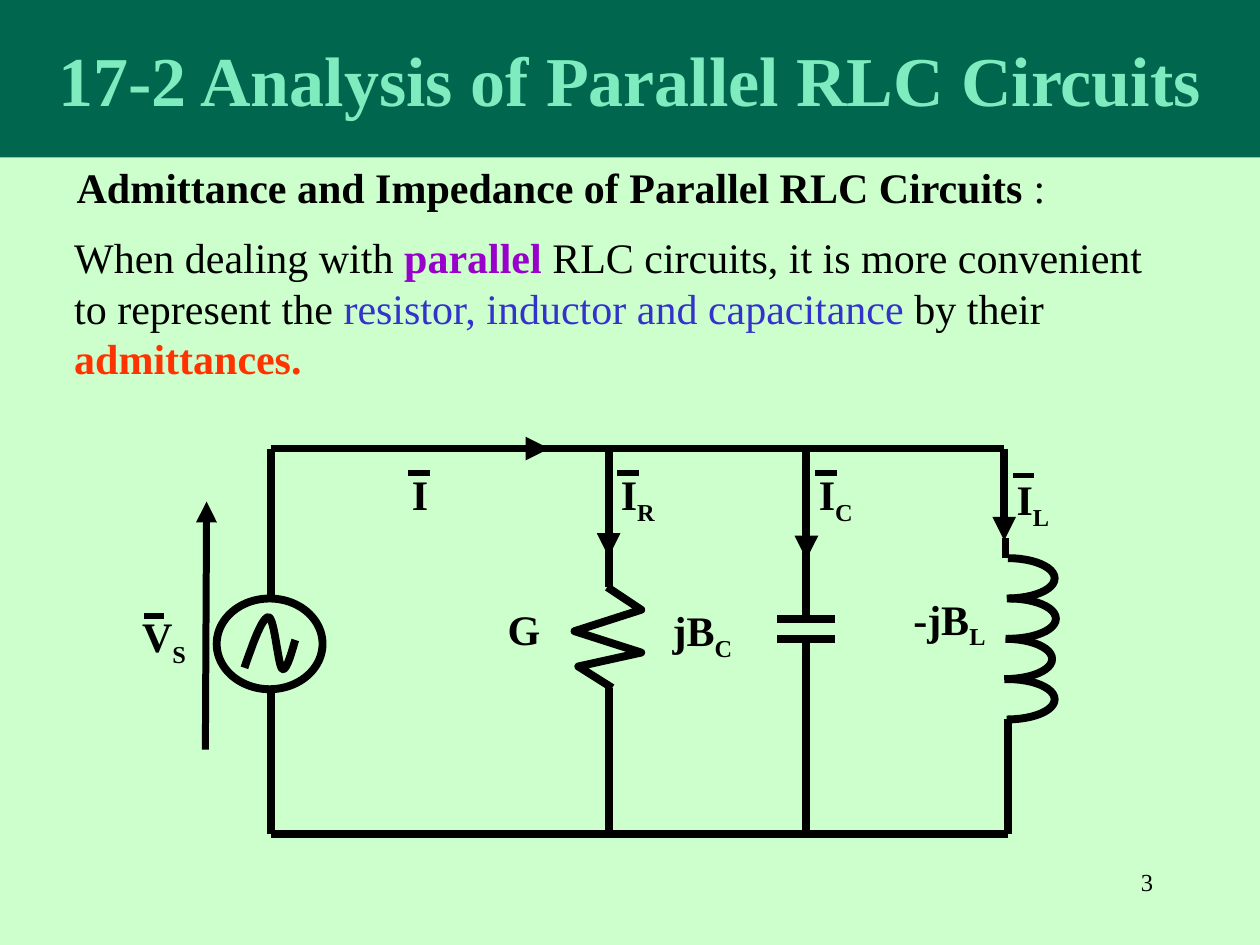
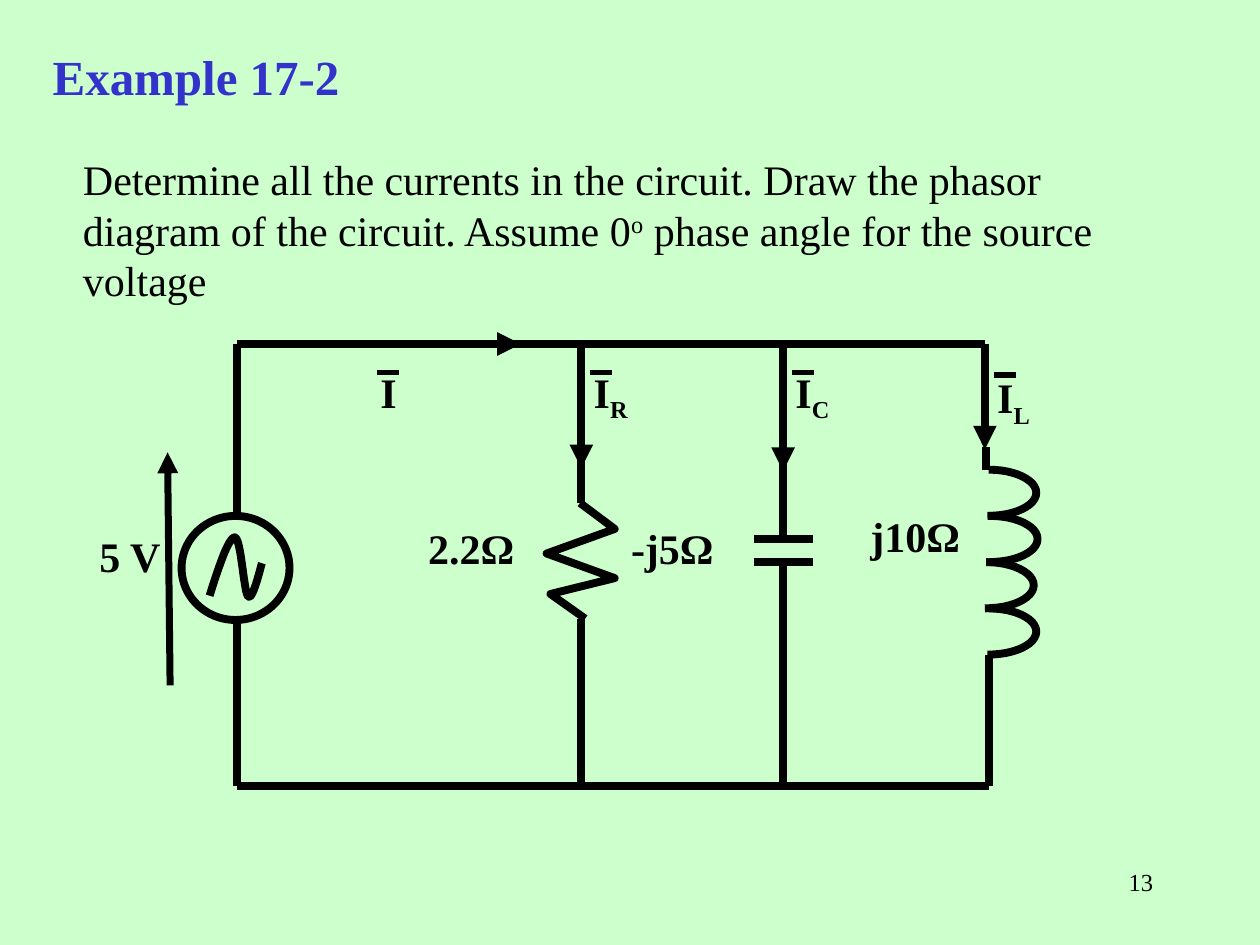
from lxml import etree
from pptx import Presentation
from pptx.dml.color import RGBColor
from pptx.enum.shapes import MSO_CONNECTOR, MSO_SHAPE
from pptx.enum.text import MSO_ANCHOR, PP_ALIGN
from pptx.oxml.ns import qn
from pptx.util import Inches, Pt

FONT = "Times New Roman"
BLACK = RGBColor(0x00, 0x00, 0x00)
MINT = RGBColor(0xCC, 0xFF, 0xCC)
GREEN = RGBColor(0x00, 0x66, 0x4D)
AQUA = RGBColor(0x7F, 0xEC, 0xBF)
BLUE = RGBColor(0x33, 0x33, 0xCC)
PURPLE = RGBColor(0x99, 0x00, 0xCC)
RED = RGBColor(0xFF, 0x33, 0x00)
WIRE, BAR, VOLTAGE = 4.5, 3, 4  # line widths in points

# Runs are (text, options); options: color, bold, base (percent raised or lowered)
TITLE = [("17-2 Analysis of Parallel RLC Circuits", {"color": AQUA, "bold": True})]
HEADING = [("Admittance and Impedance of Parallel RLC Circuits ", {"bold": True}), (":", {})]
INTRO = [
    ("When dealing with ", {}),
    ("parallel", {"color": PURPLE, "bold": True}),
    (" RLC circuits, it is more convenient to represent the ", {}),
    ("resistor, inductor and capacitance", {"color": BLUE}),
    (" by their ", {}),
    ("admittances.", {"color": RED, "bold": True}),
]
EXAMPLE = [("Example 17-2", {"color": BLUE, "bold": True})]
TASK = [
    ("Determine all the currents in the circuit. Draw the phasor diagram of the circuit. Assume 0", {}),
    ("o", {"base": 30}),
    (" phase angle for the source voltage", {}),
]

# Per slide: top left corner, scale, voltage arrow, and labels as (text, subscript, box)
ADMITTANCE_CIRCUIT = {
    "corner": (2.15, 3.56),
    "scale": (1, 1),
    "voltage": ((1.63, 5.95), (1.64, 3.98)),
    "labels": [
        ("V", "S", (1.03, 4.8, 0.57, 0.5)),
        ("G", "", (3.93, 4.74, 0.8, 0.5)),
        ("jB", "C", (5.24, 4.75, 0.85, 0.5)),
        ("-jB", "L", (7.15, 4.66, 0.85, 0.5)),
    ],
}
EXAMPLE_CIRCUIT = {
    "corner": (1.88, 2.73),
    "scale": (1.02, 1.147),
    "voltage": ((1.35, 5.44), (1.33, 3.59)),
    "labels": [
        ("5 V", "", (0.69, 4.16, 0.71, 0.5)),
        ("2.2Ω", "", (3.3, 4.1, 0.89, 0.5)),
        ("-j5Ω", "", (4.91, 4.1, 1.08, 0.5)),
        ("j10Ω", "", (6.81, 4, 1.27, 0.5)),
    ],
}

# Circuit geometry, measured from its top left corner
X_R, X_C, X_L = 2.68, 4.25, 5.85
BOTTOM = 3.06
WIRES = [
    ((0, 1.18), (0, 0)), ((0, 1.9), (0, BOTTOM)),
    ((1.73, 0), (5.82, 0)), ((0, BOTTOM), (X_L, BOTTOM)),
    ((X_R, 0.65), (X_R, 1.1)), ((X_R, 1.9), (X_R, BOTTOM)),
    ((X_C, 0), (X_C, 1.34)), ((X_C, 1.51), (X_C, BOTTOM)),
    ((X_C - 0.23, 1.35), (X_C + 0.23, 1.35)),
    ((X_C - 0.23, 1.51), (X_C + 0.23, 1.51)),
    ((5.83, 0.71), (5.83, 0.87)), ((X_L, 2.15), (X_L, BOTTOM)),
]
CURRENT_ARROWS = [
    ((0, 0), (2.21, 0)), ((X_R, 0), (X_R, 0.86)),
    ((X_C, 0), (X_C, 0.88)), ((5.82, 0), (5.82, 0.73)),
]
CURRENTS = [("", 1.02, 0.11), ("R", X_R, 0.11), ("C", X_C, 0.11), ("L", 5.82, 0.15)]
SOURCE = (-0.43, 1.19, 0.84, 0.72)
SINE = [(-0.19, 1.76), (-0.14, 1.55), (-0.09, 1.35), (-0.04, 1.34), (0.01, 1.34),
        (0.07, 1.71), (0.11, 1.74), (0.15, 1.76), (0.18, 1.54), (0.19, 1.5)]
RESISTOR = [(2.67, 1.1), (2.94, 1.28), (2.41, 1.45), (2.94, 1.62), (2.44, 1.73), (2.71, 1.9)]
TURN = [(0, 0), (0.2, 0), (0.37, 0.07), (0.37, 0.16), (0.37, 0.25), (0.2, 0.32), (-0.01, 0.32)]
TURN_SHIFTS = [0, 0.01, -0.02, 0]
COIL_TOP, TURN_HEIGHT = 0.87, 0.32


def fill_text(tf, runs, size, align=PP_ALIGN.LEFT, anchor=MSO_ANCHOR.TOP, wrap=True):
    tf.word_wrap = wrap
    tf.vertical_anchor = anchor
    p = tf.paragraphs[0]
    p.alignment = align
    for text, options in runs:
        r = p.add_run()
        r.text = text
        r.font.name = FONT
        r.font.size = Pt(size)
        r.font.bold = options.get("bold", False)
        r.font.color.rgb = options.get("color", BLACK)
        if "base" in options:
            r._r.get_or_add_rPr().set("baseline", str(options["base"] * 1000))


def add_text(shapes, box, runs, size=24, **layout):
    tb = shapes.add_textbox(*map(Inches, box))
    fill_text(tb.text_frame, runs, size, **layout)


def add_line(shapes, start, end, width=WIRE, arrow=False):
    c = shapes.add_connector(MSO_CONNECTOR.STRAIGHT, *map(Inches, (*start, *end)))
    c.line.color.rgb = BLACK
    c.line.width = Pt(width)
    if arrow:
        etree.SubElement(c.line._get_or_add_ln(), qn("a:tailEnd"), type="triangle")
    etree.SubElement(c._element.spPr, qn("a:effectLst"))


def outline(sp):
    """Leave only a wire-thick black line on the shape."""
    sp.shadow.inherit = False
    sp.fill.background()
    sp.line.color.rgb = BLACK
    sp.line.width = Pt(WIRE)
    return sp


def add_path(shapes, points):
    pts = [(Inches(x), Inches(y)) for x, y in points]
    builder = shapes.build_freeform(*pts[0])
    builder.add_line_segments(pts[1:], close=False)
    return outline(builder.convert_to_shape())


def smooth(points, steps=12):
    """Sample the chain of cubic curves through points."""
    result = [points[0]]
    for i in range(0, len(points) - 1, 3):
        curve = points[i:i + 4]
        for n in range(1, steps + 1):
            t = n / steps
            weights = ((1 - t) ** 3, 3 * t * (1 - t) ** 2, 3 * t * t * (1 - t), t ** 3)
            result.append(tuple(sum(w * pt[axis] for w, pt in zip(weights, curve))
                                for axis in (0, 1)))
    return result


def draw_circuit(s, circuit):
    shapes = s.shapes.add_group_shape().shapes
    (left, top), (sx, sy) = circuit["corner"], circuit["scale"]

    def at(point):
        return left + point[0] * sx, top + point[1] * sy

    for start, end in WIRES:
        add_line(shapes, at(start), at(end))
    for start, end in CURRENT_ARROWS:
        add_line(shapes, at(start), at(end), arrow=True)
    add_line(shapes, *circuit["voltage"], width=VOLTAGE, arrow=True)

    x, y, w, h = SOURCE
    outline(shapes.add_shape(MSO_SHAPE.OVAL, *map(Inches, (*at((x, y)), w * sx, h * sy))))
    add_path(shapes, [at(pt) for pt in smooth(SINE)]).rotation = 5.7
    add_path(shapes, [at(pt) for pt in RESISTOR])
    for i, shift in enumerate(TURN_SHIFTS):
        turn_top = COIL_TOP + i * TURN_HEIGHT
        add_path(shapes, [at((X_L + shift + dx, turn_top + dy)) for dx, dy in smooth(TURN)])

    labels = list(circuit["labels"])
    for sub, x, y in CURRENTS:
        labels.append(("I", sub, (*at((x, y)), 0.76, 0.5)))
        bar_y = y / 2 + 0.14
        add_line(shapes, at((x + 0.07, bar_y)), at((x + 0.24, bar_y)), BAR)
    for text, sub, box in labels:
        runs = [(text, {"bold": True})]
        if sub:
            runs.append((sub, {"bold": True, "base": -25}))
        add_text(shapes, box, runs)
    return shapes


def new_slide(prs, number):
    s = prs.slides.add_slide(prs.slide_layouts[6])
    s.background.fill.solid()
    s.background.fill.fore_color.rgb = MINT
    add_text(s.shapes, (7.17, 6.83, 2.08, 0.5), [(number, {})], 14, align=PP_ALIGN.RIGHT)
    return s


def add_title_band(s):
    band = s.shapes.add_shape(MSO_SHAPE.RECTANGLE, 0, 0, Inches(10), Inches(1.25))
    band.shadow.inherit = False
    band.fill.solid()
    band.fill.fore_color.rgb = GREEN
    band.line.fill.background()
    fill_text(band.text_frame, TITLE, 40, PP_ALIGN.CENTER, MSO_ANCHOR.MIDDLE)


def main():
    prs = Presentation()
    prs.slide_width, prs.slide_height = Inches(10), Inches(7.5)

    s = new_slide(prs, "3")
    add_title_band(s)
    add_text(s.shapes, (0.51, 1.23, 7.89, 0.5), HEADING, anchor=MSO_ANCHOR.MIDDLE, wrap=False)
    add_text(s.shapes, (0.49, 1.79, 8.82, 1.3), INTRO)
    shapes = draw_circuit(s, ADMITTANCE_CIRCUIT)
    add_line(shapes, (1.14, 4.89), (1.3, 4.89), BAR)

    s = new_slide(prs, "13")
    add_text(s.shapes, (0.32, 0.32, 2.74, 0.57), EXAMPLE, 28)
    add_text(s.shapes, (0.56, 1.17, 8.81, 1.31), TASK)
    draw_circuit(s, EXAMPLE_CIRCUIT)

    prs.save("out.pptx")


if __name__ == "__main__":
    main()
